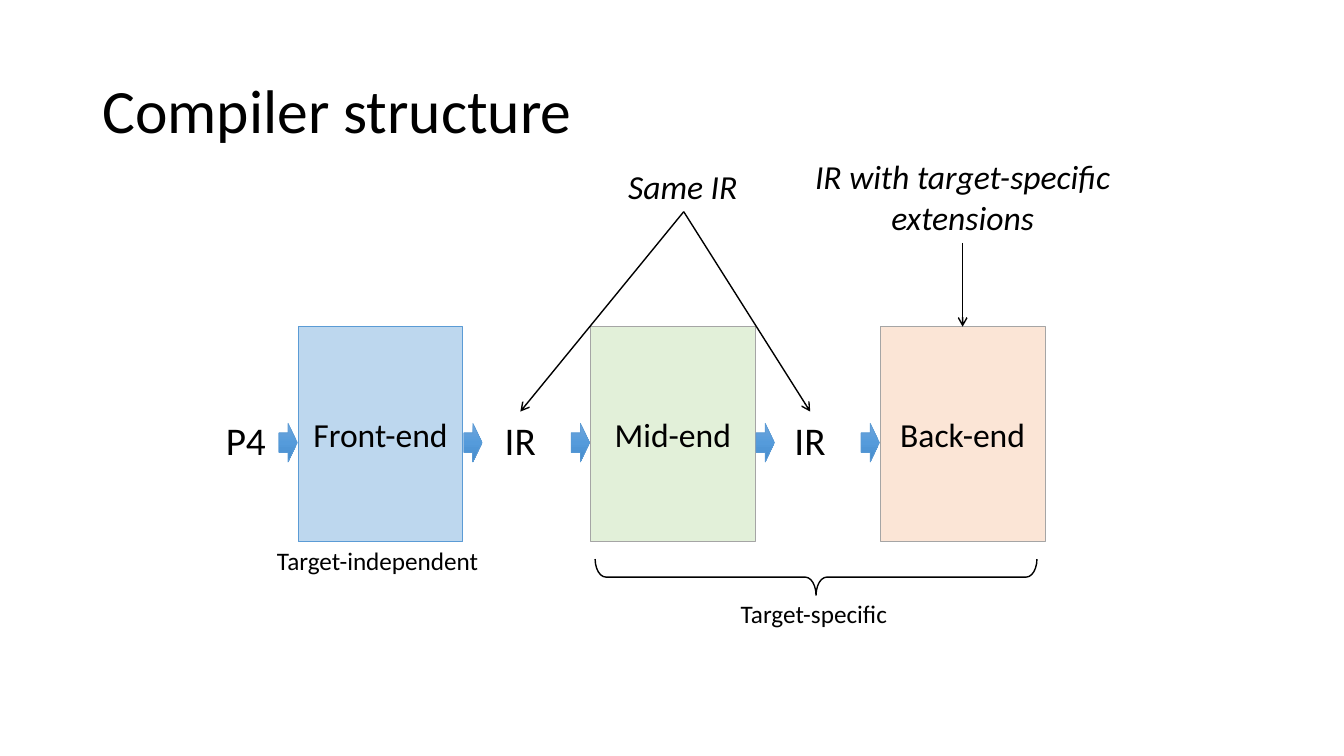
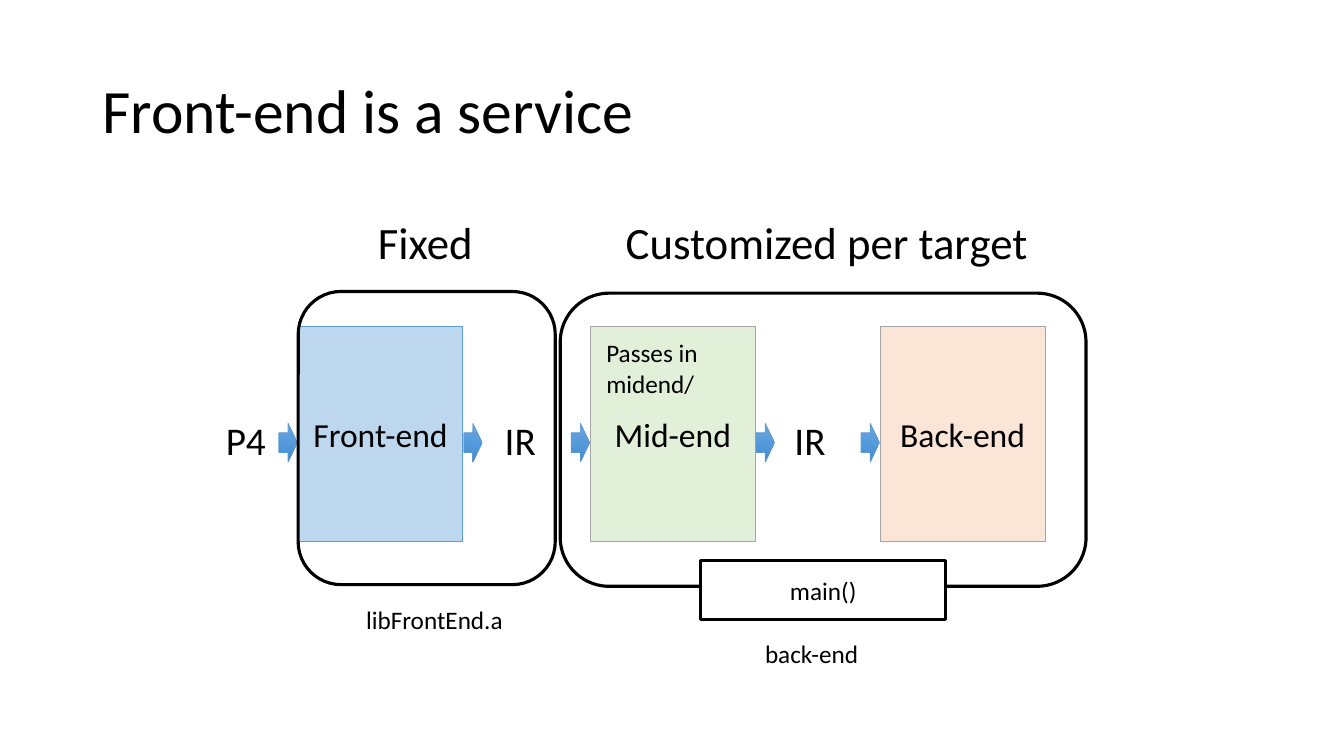
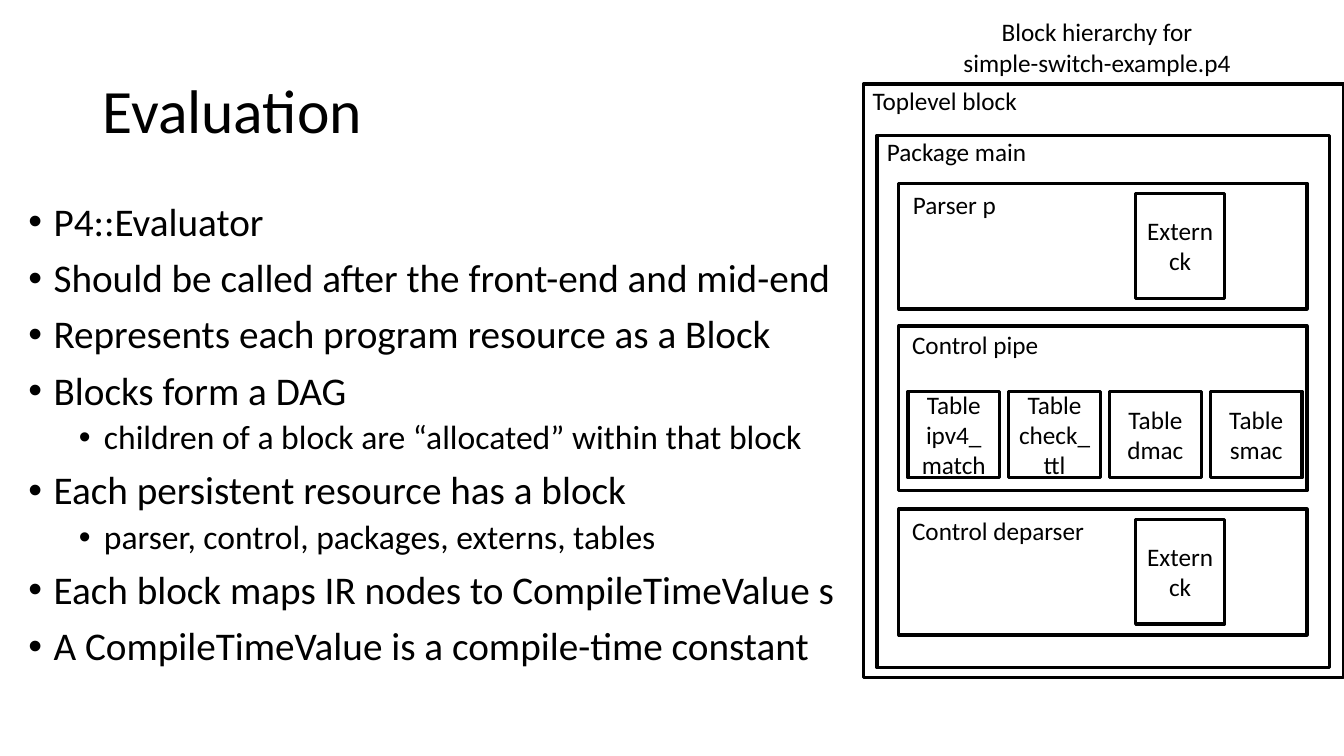
"""Build three slides on the structure of a compiler, on a grid of 160 by 90 cells."""
import copy
import dataclasses
import typing

import pptx
import pptx.dml.color
import pptx.enum.shapes
import pptx.enum.text
import pptx.oxml.ns
import pptx.oxml.xmlchemy
import pptx.util
import lxml.etree

SHAPE = pptx.enum.shapes.MSO_SHAPE
ALIGN = pptx.enum.text.PP_ALIGN
qn = pptx.oxml.ns.qn

CELL = pptx.util.Inches(1) // 12
COLS, ROWS = 160, 90
FONT = "Calibri"
INK = {
    "black": "000000", "white": "FFFFFF", "blue": "BDD7EE", "green": "E2F0D9",
    "peach": "FBE5D6", "edge": "5B9BD5", "grey": "A5A5A5",
    "light": "71A6DB", "mid": "559BDB", "dark": "448ACA",
}


@dataclasses.dataclass(frozen=True)
class Box:
    """A preset shape, placed by column and row."""
    col: float
    row: float
    wide: float
    high: float
    text: str = ""
    size: float = 18
    fill: str | None = "white"
    edge: str = "black"
    line: float = 2.25
    form: typing.Any = SHAPE.RECTANGLE


@dataclasses.dataclass(frozen=True)
class Label:
    """Free text, placed by column and row."""
    col: float
    row: float
    wide: float
    high: float
    text: str
    size: float = 18
    slant: bool = False
    mid: bool = False


@dataclasses.dataclass(frozen=True)
class Point:
    """One bullet of a list."""
    text: str
    level: int = 0


def tint(name: str) -> pptx.dml.color.RGBColor:
    """Look up a colour by name."""
    return pptx.dml.color.RGBColor.from_string(INK[name])


def place(item: typing.Any) -> list[int]:
    """Turn grid cells into lengths."""
    return [round(n * CELL) for n in (item.col, item.row, item.wide, item.high)]


def put(para: typing.Any, text: str, size: float, slant: bool = False) -> None:
    """Add text run by run, with a line break at each vertical tab."""
    for i, part in enumerate(text.split("\v")):
        if i:
            para.add_line_break()
        run = para.add_run()
        run.text = part
        run.font.name = FONT
        run.font.size = pptx.util.Pt(size)
        run.font.italic = slant or None
        run.font.color.rgb = tint("black")


def write(frame: typing.Any, text: str, size: float, align: typing.Any,
          slant: bool = False) -> None:
    """Fill a text frame, one paragraph for each line."""
    for i, part in enumerate(text.split("\n")):
        para = frame.add_paragraph() if i else frame.paragraphs[0]
        para.alignment = align
        put(para, part, size, slant)


def draw(slide: typing.Any, box: Box) -> typing.Any:
    """Draw a preset shape with its text."""
    shape = slide.shapes.add_shape(box.form, *place(box))
    shape.shadow.inherit = False
    if box.fill:
        shape.fill.solid()
        shape.fill.fore_color.rgb = tint(box.fill)
    else:
        shape.fill.background()
    shape.line.color.rgb = tint(box.edge)
    shape.line.width = pptx.util.Pt(box.line)
    if box.text:
        frame = shape.text_frame
        frame.word_wrap = True
        frame.vertical_anchor = pptx.enum.text.MSO_ANCHOR.MIDDLE
        write(frame, box.text, box.size, ALIGN.CENTER)
    return shape


def note(slide: typing.Any, label: Label) -> typing.Any:
    """Draw a label that does not wrap."""
    shape = slide.shapes.add_textbox(*place(label))
    frame = shape.text_frame
    frame.word_wrap = False
    frame.auto_size = pptx.enum.text.MSO_AUTO_SIZE.SHAPE_TO_FIT_TEXT
    align = ALIGN.CENTER if label.mid else ALIGN.LEFT
    write(frame, label.text, label.size, align, label.slant)
    return shape


def link(slide: typing.Any, start: typing.Any, end: typing.Any) -> None:
    """Draw an arrow from the bottom of one shape to the top of another."""
    line = slide.shapes.add_connector(pptx.enum.shapes.MSO_CONNECTOR.STRAIGHT, 0, 0, 0, 0)
    line.begin_connect(start, 2)
    line.end_connect(end, 0)
    line.line.color.rgb = tint("black")
    line.line.width = pptx.util.Pt(1)
    props = line._element.spPr
    lxml.etree.SubElement(props.find(qn("a:ln")), qn("a:tailEnd"), type="arrow")
    lxml.etree.SubElement(props, qn("a:effectLst"))


def flow(slide: typing.Any, col: float) -> None:
    """Draw a small block arrow with a blue gradient."""
    shape = draw(slide, Box(col, 50.4, 2.2, 4.6, fill=None, edge="edge", line=0.5,
                            form=SHAPE.RIGHT_ARROW))
    shape.fill.gradient()
    shape.fill.gradient_angle = 270
    stops = shape._element.spPr.find(".//" + qn("a:gsLst"))
    stops.insert(1, copy.deepcopy(stops[0]))
    shades = ((0, "light"), (0.5, "mid"), (1, "dark"))
    for stop, (spot, name) in zip(shape.fill.gradient_stops, shades):
        stop.position = spot
        stop.color.rgb = tint(name)


def chain(slide: typing.Any) -> tuple[list, list]:
    """Draw the three compiler stages, and return stages and labels."""
    wide = 19.6
    steps = [(35.5, "Front-end", "blue", "edge"), (70.3, "Mid-end", "green", "grey"),
             (104.8, "Back-end", "peach", "grey")]
    stages = [draw(slide, Box(col, 38.9, wide, 25.6, text, 24, fill, edge, 0.5))
              for col, text, fill, edge in steps]
    names = [note(slide, Label(col, 49, span, 6.8, text, 28))
             for col, span, text in ((25.7, 7.2, "P4"), (58.9, 6.1, "IR"), (93.4, 6.1, "IR"))]
    for step in steps:
        flow(slide, step[0] - 2.3)
    for step in steps[:-1]:
        flow(slide, step[0] + wide + 0.1)
    return stages, names


def start(deck: typing.Any, text: str) -> typing.Any:
    """Add a slide with its title."""
    slide = deck.slides.add_slide(deck.slide_layouts[5])
    title = slide.shapes.title
    title.left, title.top, title.width, title.height = place(Box(11, 4.8, 138, 17.4))
    title.text_frame.vertical_anchor = pptx.enum.text.MSO_ANCHOR.MIDDLE
    write(title.text_frame, text, 44, ALIGN.LEFT)
    title.text_frame.paragraphs[0].line_spacing = 0.9
    return slide


def listing(slide: typing.Any, area: Box, points: list[Point]) -> None:
    """Write a list with bullets on two levels."""
    frame = slide.shapes.add_textbox(*place(area)).text_frame
    frame.word_wrap = True
    for i, point in enumerate(points):
        para = frame.add_paragraph() if i else frame.paragraphs[0]
        props = para._p.get_or_add_pPr()
        props.set("marL", str(pptx.util.Inches(0.25 + 0.5 * point.level)))
        props.set("indent", str(pptx.util.Inches(-0.25)))
        lxml.etree.SubElement(props, qn("a:buFont"), typeface="Arial")
        lxml.etree.SubElement(props, qn("a:buChar"), char="•")
        para.level = point.level
        para.line_spacing = 0.9
        if i:
            para.space_before = pptx.util.Pt(5 if point.level else 10)
        put(para, point.text, 24 if point.level else 28)


def build_stages(deck: typing.Any) -> None:
    """Build the slide on compiler structure."""
    slide = start(deck, "Compiler structure")
    stages, names = chain(slide)
    brace = draw(slide, Box(95, 42.4, 4.3, 52.6, fill=None, line=1, form=SHAPE.LEFT_BRACE))
    brace.rotation = 270
    brace.adjustments[0] = 0.3
    note(slide, Label(87, 70.6, 20.4, 4.8, "Target-specific"))
    note(slide, Label(31.8, 64.3, 27.1, 4.8, "Target-independent"))
    same = note(slide, Label(73.6, 19.2, 15.6, 6, "Same IR", 24, slant=True))
    more = note(slide, Label(95.6, 18, 38, 10.9, "IR with target-specific\nextensions", 24,
                             slant=True, mid=True))
    for name in names[1:]:
        link(slide, same, name)
    link(slide, more, stages[-1])


def build_service(deck: typing.Any) -> None:
    """Build the slide on the front-end."""
    slide = start(deck, "Front-end is a service")
    chain(slide)
    for col, row, wide in ((35.5, 34.7, 30.6), (66.7, 34.9, 62.6)):
        draw(slide, Box(col, row, wide, 34.9, fill=None, form=SHAPE.ROUNDED_RECTANGLE))
    draw(slide, Box(83.4, 66.7, 29.2, 7.1, "main()"))
    for label in (
        Label(42.4, 71.4, 18.8, 4.8, "libFrontEnd.a"),
        Label(89.9, 75.4, 13.7, 4.8, "back-end"),
        Label(71, 39.6, 13.4, 8.5, "Passes in\vmidend/"),
        Label(43.8, 25, 14, 7.7, "Fixed", 32),
        Label(73.3, 25, 50.8, 7.7, "Customized per target", 32),
    ):
        note(slide, label)


def build_blocks(deck: typing.Any) -> None:
    """Build the slide on evaluation."""
    slide = start(deck, "Evaluation")
    listing(slide, Box(2.2, 23.5, 99.6, 57.1), [
        Point("P4::Evaluator"),
        Point("Should be called after the front-end and mid-end"),
        Point("Represents each program resource as a Block"),
        Point("Blocks form a DAG"),
        Point("children of a block are “allocated” within that block", 1),
        Point("Each persistent resource has a block"),
        Point("parser, control, packages, externs, tables", 1),
        Point("Each block maps IR nodes to CompileTimeValue s"),
        Point("A CompileTimeValue is a compile-time constant"),
    ])
    draw(slide, Box(102.8, 10, 57.2, 70.7, fill=None))
    draw(slide, Box(104.4, 16.1, 53.9, 63.4))
    for row, high in ((21.8, 15), (38.8, 19.6), (60.6, 15)):
        draw(slide, Box(107, row, 48.6, high))
    for row in (23, 61.8):
        draw(slide, Box(135.2, row, 10.6, 12.5, "Extern\nck"))
    for i, name in enumerate(("ipv4_match", "check_ttl", "dmac", "smac")):
        draw(slide, Box(108.1 + 12 * i, 46.6, 10.9, 10.3, "Table\v" + name))
    for label in (
        Label(113.3, 1.4, 34.6, 8.5, "Block hierarchy for\vsimple-switch-example.p4", mid=True),
        Label(102.7, 9.6, 19.8, 4.8, "Toplevel block"),
        Label(104.4, 15.6, 19.2, 4.8, "Package main"),
        Label(107.5, 22, 12.4, 4.8, "Parser p"),
        Label(107.4, 38.6, 17.6, 4.8, "Control pipe"),
        Label(107.4, 60.8, 23.2, 4.8, "Control deparser"),
    ):
        note(slide, label)


def main() -> None:
    """Build and save the deck."""
    deck = pptx.Presentation()
    deck.slide_width, deck.slide_height = COLS * CELL, ROWS * CELL
    for build in (build_stages, build_service, build_blocks):
        build(deck)
    deck.save("out.pptx")


if __name__ == "__main__":
    main()
